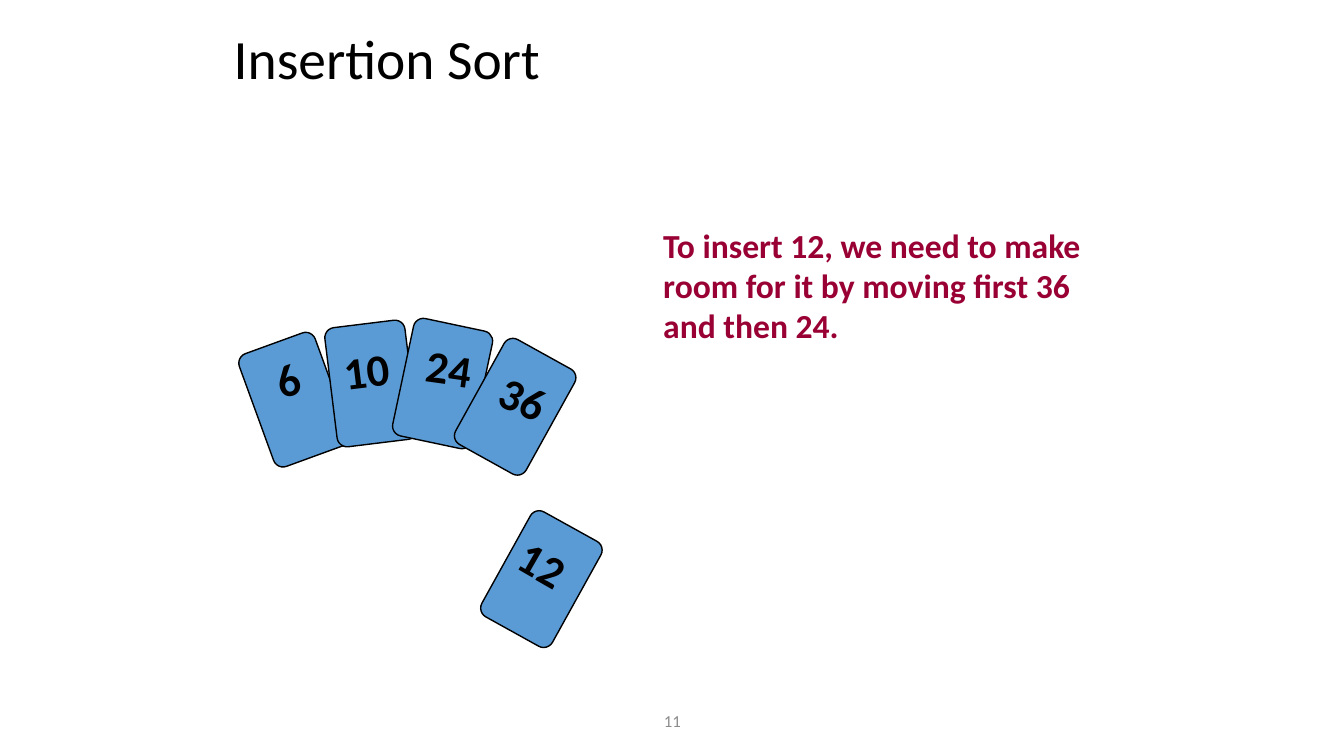
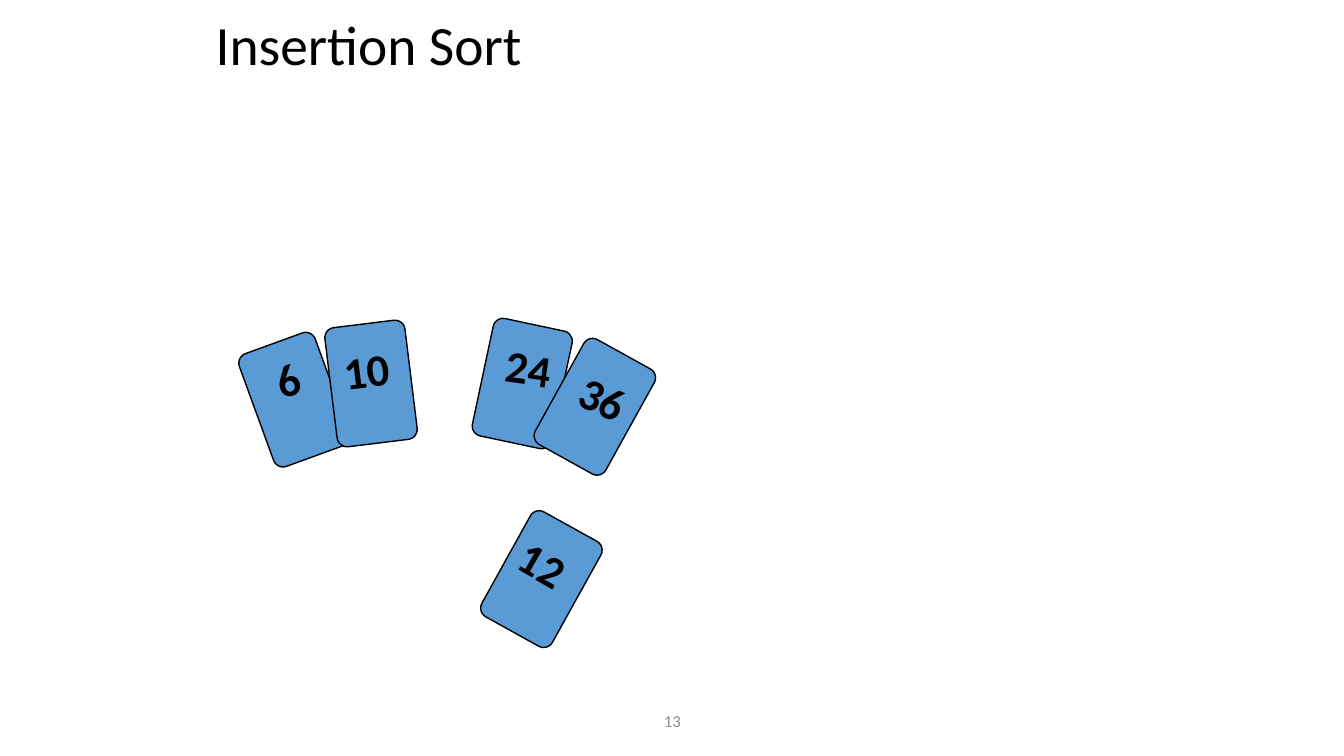
"""Build two slides that show an insertion sort with playing cards."""
from pptx import Presentation
from pptx.dml.color import RGBColor
from pptx.enum.shapes import MSO_SHAPE
from pptx.enum.text import MSO_ANCHOR, PP_ALIGN
from pptx.util import Inches, Pt

BLACK = RGBColor(0x00, 0x00, 0x00)
BLUE = RGBColor(0x5B, 0x9B, 0xD5)
CRIMSON = RGBColor(0x99, 0x00, 0x33)
GRAY = RGBColor(0x8C, 0x8C, 0x8C)
FONT = "Calibri"
TITLE_HEIGHT = 0.7
CARD_WIDTH, CARD_HEIGHT = 0.8, 1.19
LABEL_HEIGHT = 0.64
GAP_SHIFT = 0.79

# value: card left, top, turn; label left, top, width, turn
CARDS = {
    "6": (2.52, 3.37, 340, 2.64, 3.44, 0.43, 341),
    "10": (3.28, 3.21, 353, 3.31, 3.35, 0.66, 353),
    "24": (3.99, 3.21, 12, 4.13, 3.33, 0.66, 8),
    "36": (4.71, 3.44, 29, 4.87, 3.63, 0.66, 25),
    "12": (4.97, 5.15, 29, 5.06, 5.28, 0.66, 30),
}


def add_text(page, text, left, top, width, height, size=32, color=BLACK, bold=False,
             align=PP_ALIGN.LEFT, anchor=MSO_ANCHOR.TOP, wrap=True, spacing=1.0, turn=0):
    box = page.shapes.add_textbox(Inches(left), Inches(top), Inches(width), Inches(height))
    box.rotation = turn
    frame = box.text_frame
    frame.word_wrap = wrap
    frame.vertical_anchor = anchor
    para = frame.paragraphs[0]
    para.alignment = align
    para.line_spacing = spacing
    span = para.add_run()
    span.text = text
    span.font.name = FONT
    span.font.size = Pt(size)
    span.font.bold = bold
    span.font.color.rgb = color


def add_card(page, value, shift=0):
    left, top, turn, label_left, label_top, label_width, label_turn = CARDS[value]
    card = page.shapes.add_shape(MSO_SHAPE.ROUNDED_RECTANGLE, Inches(left + shift), Inches(top),
                                 Inches(CARD_WIDTH), Inches(CARD_HEIGHT))
    card.adjustments[0] = 0.125
    card.rotation = turn
    card.shadow.inherit = False
    card.fill.solid()
    card.fill.fore_color.rgb = BLUE
    card.line.color.rgb = BLACK
    card.line.width = Pt(1)
    add_text(page, value, label_left + shift, label_top, label_width, LABEL_HEIGHT,
             bold=True, wrap=False, turn=label_turn)


def add_page(deck, number, title_left, title_bottom, shifted=()):
    page = deck.slides.add_slide(deck.slide_layouts[6])
    add_text(page, "Insertion Sort", title_left, title_bottom - TITLE_HEIGHT, 7, TITLE_HEIGHT,
             size=39.6, anchor=MSO_ANCHOR.BOTTOM, spacing=0.9)
    for value in CARDS:
        add_card(page, value, GAP_SHIFT if value in shifted else 0)
    add_text(page, number, 4.42, 6.95, 4.5, 0.4, size=12, color=GRAY,
             align=PP_ALIGN.CENTER, anchor=MSO_ANCHOR.MIDDLE)
    return page


def main():
    deck = Presentation()
    deck.slide_width, deck.slide_height = Inches(13.33), Inches(7.5)
    page = add_page(deck, "11", 2.22, 0.96)
    add_text(page, "To insert 12, we need to make room for it by moving first 36 and then 24.",
             6.48, 2.18, 4.66, 1.31, size=24, color=CRIMSON, bold=True)
    add_page(deck, "13", 2.04, 0.82, shifted=("24", "36"))
    deck.save("out.pptx")


if __name__ == "__main__":
    main()
